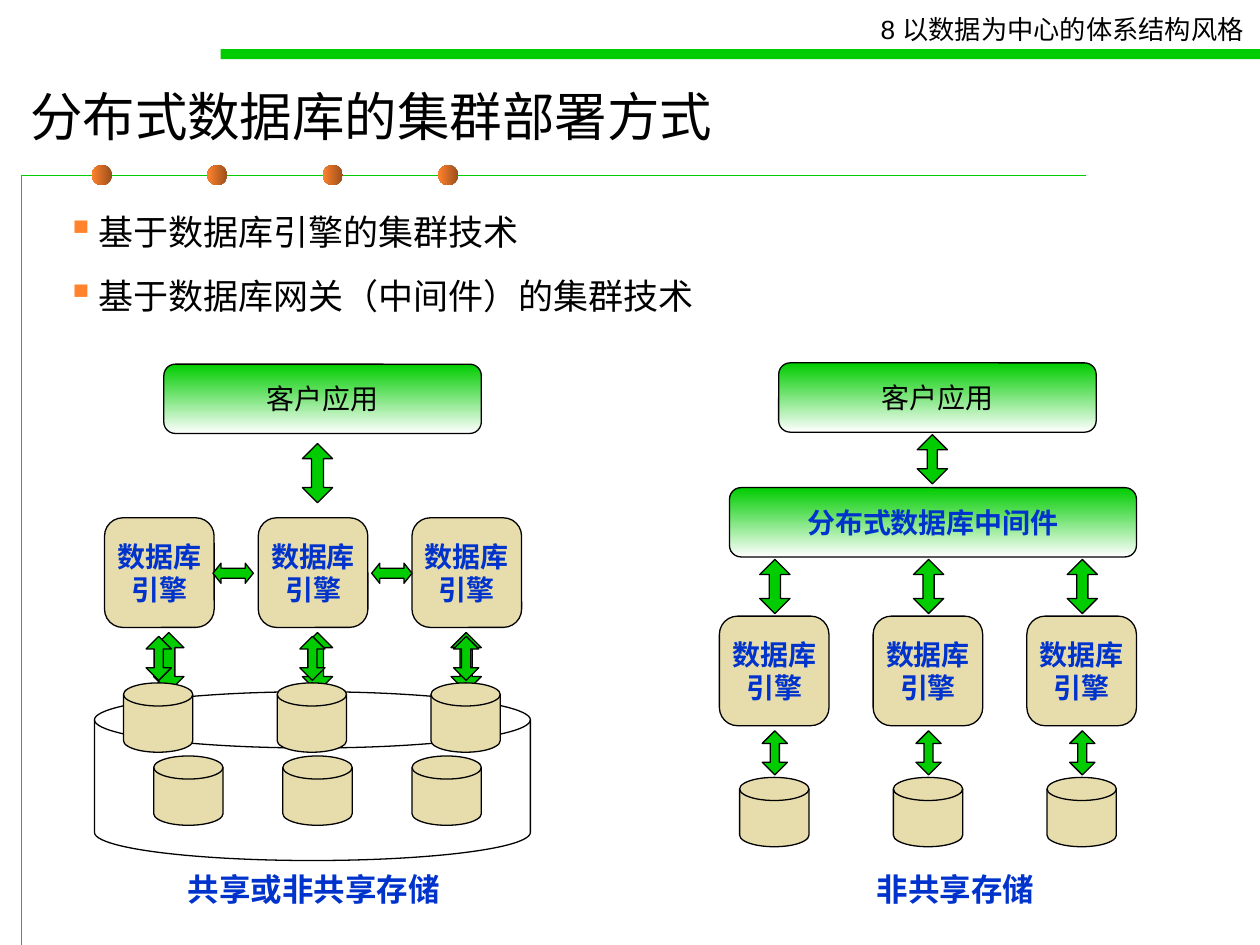
"""Build a slide comparing cluster deployment styles of distributed databases."""
from lxml import etree
from pptx import Presentation
from pptx.dml.color import RGBColor
from pptx.enum.shapes import MSO_SHAPE
from pptx.enum.text import MSO_ANCHOR, MSO_AUTO_SIZE, PP_ALIGN
from pptx.oxml.ns import qn
from pptx.util import Inches, Pt

OVAL, RECT, ROUND = MSO_SHAPE.OVAL, MSO_SHAPE.RECTANGLE, MSO_SHAPE.ROUNDED_RECTANGLE
DISK = MSO_SHAPE.FLOWCHART_MAGNETIC_DISK
UPDOWN, LEFTRIGHT = MSO_SHAPE.UP_DOWN_ARROW, MSO_SHAPE.LEFT_RIGHT_ARROW
TOP, MIDDLE = MSO_ANCHOR.TOP, MSO_ANCHOR.MIDDLE
CENTER, LEFT = PP_ALIGN.CENTER, PP_ALIGN.LEFT
FIT, FIXED = MSO_AUTO_SIZE.SHAPE_TO_FIT_TEXT, MSO_AUTO_SIZE.NONE

GREEN, TAN, BLUE, BLACK, WHITE = "00CC00", "E6DCAC", "0033CC", "000000", "FFFFFF"
ORANGE, BROWN = "FF822D", "9A4E1B"
FADE = (GREEN, WHITE, 270)
BEAD = (BROWN, ORANGE, 180)

CHAPTER = "8 以数据为中心的体系结构风格"
TITLE = "分布式数据库的集群部署方式"
BULLETS = ["基于数据库引擎的集群技术", "基于数据库网关（中间件）的集群技术"]
CLIENT = ["客户应用"]
MIDDLEWARE = ["分布式数据库中间件"]
ENGINE = ["数据库", "引擎"]
CAPTIONS = [("共享或非共享存储", 1.39, 2.2), ("非共享存储", 6.86, 1.45)]

PITCH = 1.22
ENGINE_SIZE, DISK_SIZE = 0.87, 0.55

prs = Presentation()
prs.slide_width, prs.slide_height = Inches(10), Inches(7.5)
s = prs.slides.add_slide(prs.slide_layouts[6])


def rgb(value):
    return RGBColor.from_string(value)


def write(tf, lines, size, color=BLACK, bold=False, align=LEFT, anchor=TOP, wrap=False, fit=FIXED):
    frame = {"word_wrap": wrap, "auto_size": fit, "vertical_anchor": anchor}
    for name, value in frame.items():
        setattr(tf, name, value)
    for i, line in enumerate(lines):
        p = tf.paragraphs[0] if i == 0 else tf.add_paragraph()
        p.alignment = align
        r = p.add_run()
        r.text = line
        for name, value in {"size": Pt(size), "name": "Arial", "bold": bold}.items():
            setattr(r.font, name, value)
        r.font.color.rgb = rgb(color)


def textbox(lines, x, y, w, h, size, **fmt):
    tf = s.shapes.add_textbox(*map(Inches, (x, y, w, h))).text_frame
    write(tf, lines, size, **fmt)
    return tf


def shape(kind, x, y, w, h, fill=None, line=BLACK, head=None, parent=s):
    sp = parent.shapes.add_shape(kind, *map(Inches, (x, y, w, h)))
    sp.shadow.inherit = False
    if fill is None:
        sp.fill.background()
    elif isinstance(fill, tuple):
        sp.fill.gradient()
        sp.fill.gradient_angle = fill[2]
        for stop, color in zip(sp.fill.gradient_stops, fill):
            stop.color.rgb = rgb(color)
    else:
        sp.fill.solid()
        sp.fill.fore_color.rgb = rgb(fill)
    if line:
        sp.line.color.rgb = rgb(line)
        sp.line.width = Pt(0.75)
    else:
        sp.line.fill.background()
    if head:
        sp.adjustments[1] = head
    return sp


def box(lines, x, y, w, h, fill, color=BLUE, bold=True):
    sp = shape(ROUND, x, y, w, h, fill)
    write(sp.text_frame, lines, 16, color, bold, CENTER, MIDDLE)


def engines(x, y):
    for i in range(3):
        box(ENGINE, x + i * PITCH, y, ENGINE_SIZE, ENGINE_SIZE, TAN)


def disks(x, y, pitch, parent):
    for i in range(3):
        shape(DISK, x + i * pitch, y, DISK_SIZE, DISK_SIZE, TAN, parent=parent)


def arrows(x, y, w, h, head, pitch=PITCH, count=3, kind=UPDOWN, parent=s):
    for i in range(count):
        shape(kind, x + i * pitch, y, w, h, GREEN, head=head, parent=parent)


def disk_row(x, y, arrow_y):
    group = s.shapes.add_group_shape()
    disks(x, y, PITCH, group)
    arrows(x + 0.18, arrow_y, 0.2, 0.35, 0.36, parent=group)


def frame():
    builder = s.shapes.build_freeform(Inches(0.17), Inches(7.5))
    corners = [(0.17, 1.39), (8.62, 1.39)]
    builder.add_line_segments([tuple(map(Inches, c)) for c in corners], close=False)
    sp = builder.convert_to_shape()
    sp.shadow.inherit = False
    sp.fill.background()
    sp.line.color.rgb = rgb(GREEN)
    sp.line.width = Pt(0.75)
    for i in range(4):
        shape(OVAL, 0.73 + i * 0.916, 1.31, 0.16, 0.16, BEAD, None)
    shape(RECT, 1.75, 0.39, 8.25, 0.08, GREEN, None)


def bullet(p):
    pPr = p._p.get_or_add_pPr()
    pPr.set("marL", str(Inches(0.25)))
    pPr.set("indent", str(Inches(-0.25)))
    color = etree.SubElement(pPr, qn("a:buClr"))
    etree.SubElement(color, qn("a:srgbClr"), val=ORANGE)
    etree.SubElement(pPr, qn("a:buSzPct"), val="110000")
    etree.SubElement(pPr, qn("a:buChar"), char="▪")


def headings():
    textbox([CHAPTER], 6.89, 0.06, 3.13, 0.35, 15, fit=FIT)
    textbox([TITLE], 0.14, 0.56, 9.29, 0.71, 30, anchor=MIDDLE, wrap=True)
    tf = textbox(BULLETS, 0.43, 1.62, 8.98, 1.26, 20, wrap=True)
    for i, p in enumerate(tf.paragraphs):
        bullet(p)
        p.space_before = Pt(8.8 if i else 0)
        p.space_after = Pt(3.7)


def engine_cluster():
    box(CLIENT, 1.3, 2.89, 2.52, 0.55, FADE, BLACK, False)
    engines(0.83, 4.11)
    store = s.shapes.add_group_shape()
    shape(DISK, 0.75, 5.49, 3.46, 1.34, parent=store)
    disks(1.22, 6, 1.025, store)
    arrows(1.22, 5.02, 0.24, 0.47, 0.4, pitch=1.18, parent=store)
    arrows(1.69, 4.47, 0.32, 0.16, 0.4, pitch=1.26, count=2, kind=LEFTRIGHT)
    arrows(2.4, 3.52, 0.24, 0.47, 0.4, count=1)
    disk_row(0.98, 5.42, 5.05)


def middleware_cluster():
    box(CLIENT, 6.18, 2.88, 2.52, 0.55, FADE, BLACK, False)
    engines(5.71, 4.89)
    disk_row(5.87, 6.17, 5.8)
    arrows(7.28, 3.45, 0.24, 0.39, 0.33, count=1)
    box(MIDDLEWARE, 5.79, 3.87, 3.23, 0.55, FADE)
    arrows(6.03, 4.44, 0.24, 0.43, 0.37)


frame()
headings()
engine_cluster()
middleware_cluster()
for caption, left, width in CAPTIONS:
    textbox([caption], left, 6.86, width, 0.4, 18, color=BLUE, bold=True, fit=FIT)
prs.save("out.pptx")
